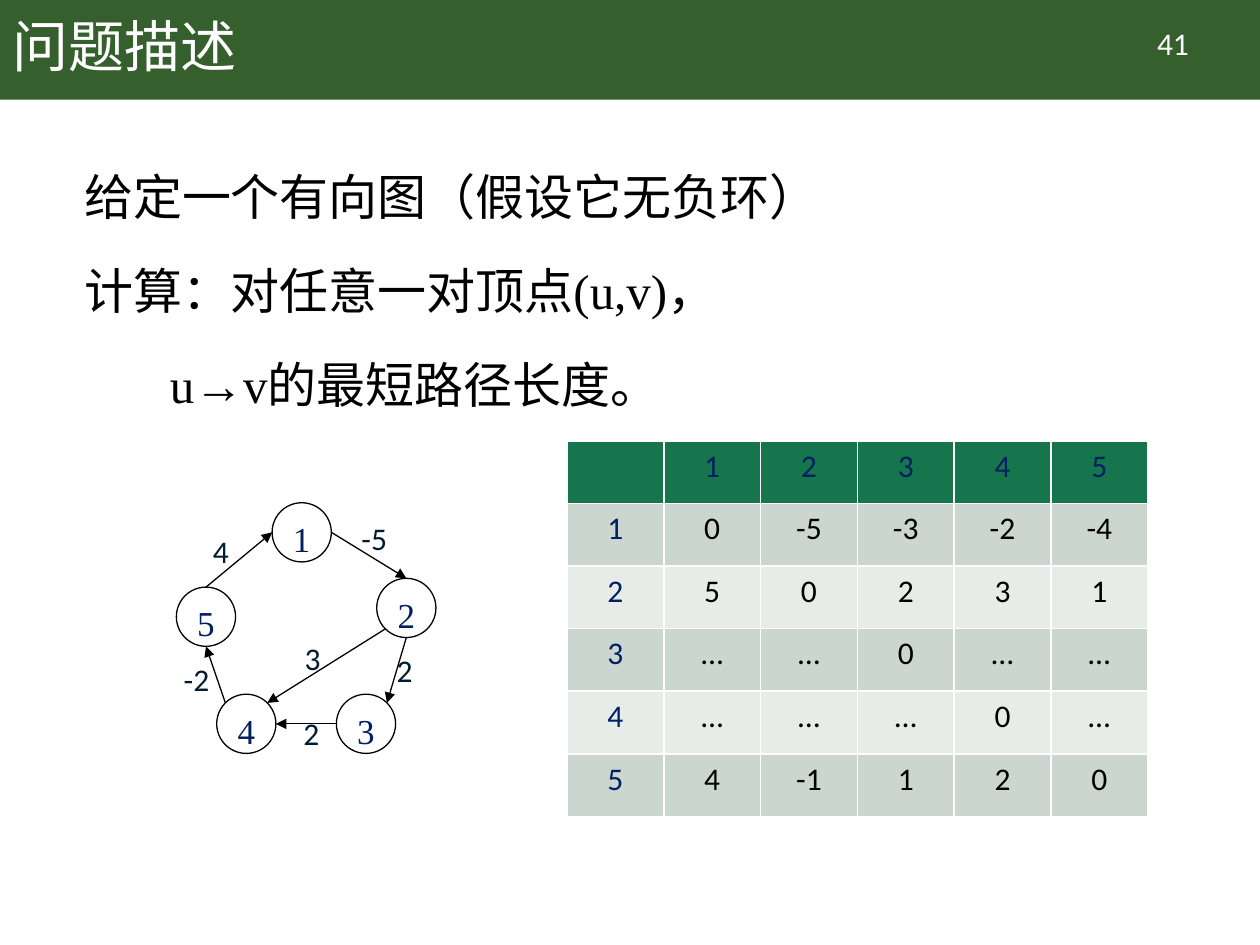
import math

from lxml import etree
from pptx import Presentation
from pptx.dml.color import RGBColor
from pptx.enum import shapes, text
from pptx.oxml import ns
from pptx.util import Inches, Pt

SANS, SERIF, CJK = "Calibri", "Times New Roman", "Noto Sans CJK SC"
WHITE, BLACK, NAVY, INK = "FFFFFF", "000000", "002060", "001C30"
BAND, HEADER, ROW_FILLS = "365F2E", "16754D", ("CCD6D0", "E8ECE9")

NODE_SIZE = 0.47
NODES = {"1": (2.16, 3.99), "5": (1.4, 4.66), "3": (2.67, 5.51),
         "4": (1.72, 5.51), "2": (2.99, 4.59)}
# Start node, angle on its rim, end node, angle on its rim (degrees, clockwise from right)
EDGES = [("5", 270, "1", 180), ("1", 0, "2", 270), ("2", 135, "4", 315),
         ("4", 225, "5", 90), ("2", 90, "3", 315), ("3", 180, "4", 0)]
WEIGHTS = [("2", 3.05, 5.12, 0.68), ("4", 1.59, 4.17, 0.68),
           ("3", 2.32, 5.02, 0.68), ("-5", 2.77, 4.07, 0.68),
           ("-2", 1.36, 5.19, 0.68), ("2", 2.31, 5.62, 0.46)]
DISTANCES = [["", "1", "2", "3", "4", "5"],
             ["1", "0", "-5", "-3", "-2", "-4"],
             ["2", "5", "0", "2", "3", "1"],
             ["3", "…", "…", "0", "…", "…"],
             ["4", "…", "…", "…", "0", "…"],
             ["5", "4", "-1", "1", "2", "0"]]


def rgb(value):
    return RGBColor.from_string(value)


def add_run(paragraph, words, size, font, color):
    run = paragraph.add_run()
    run.text = words
    run.font.size = Pt(size)
    run.font.name = font
    run.font.color.rgb = rgb(color)
    return run


def set_east_asian(run, font):
    etree.SubElement(run.font._element, ns.qn("a:ea"), typeface=font)


def add_text_frame(parent, left, top, width, height):
    frame = parent.add_textbox(*map(Inches, (left, top, width, height))).text_frame
    frame.word_wrap = True
    return frame


def add_banner(slide):
    band = slide.shapes.add_shape(shapes.MSO_SHAPE.RECTANGLE, 0, 0, Inches(10), Inches(0.79))
    band.shadow.inherit = False
    band.fill.solid()
    band.fill.fore_color.rgb = rgb(BAND)
    band.line.fill.background()

    title = add_text_frame(slide.shapes, 0, 0, 8.62, 0.79)
    title.vertical_anchor = text.MSO_ANCHOR.MIDDLE
    heading = title.paragraphs[0]
    heading.line_spacing = 0.9
    set_east_asian(add_run(heading, "问题描述", 32, CJK, WHITE), CJK)

    page = add_text_frame(slide.shapes, 8.71, 0.14, 1.2, 0.4).paragraphs[0]
    page.alignment = text.PP_ALIGN.CENTER
    add_run(page, "41", 18, SANS, WHITE)


def add_problem(slide):
    frame = add_text_frame(slide.shapes, 0.57, 1.13, 8.86, 5.52)
    lines = [("给定一个有向图（假设它无负环）", 0),
             ("计算：对任意一对顶点(u,v)，", 0),
             ("u→v的最短路径长度。", 0.68)]
    for index, (words, indent) in enumerate(lines):
        paragraph = frame.add_paragraph() if index else frame.paragraphs[0]
        paragraph.line_spacing = 1.3
        if index:
            paragraph.space_before = Pt(10)
        if indent:
            paragraph._p.get_or_add_pPr().set("marL", str(Inches(indent)))
        add_run(paragraph, words, 28, SERIF, BLACK)


def add_node(graph, label, left, top):
    node = graph.add_shape(shapes.MSO_SHAPE.OVAL, Inches(left), Inches(top),
                           Inches(NODE_SIZE), Inches(NODE_SIZE))
    node.shadow.inherit = False
    node.fill.background()
    node.line.color.rgb = rgb(BLACK)
    node.line.width = Pt(0.75)
    frame = node.text_frame
    frame.word_wrap = False
    frame.vertical_anchor = text.MSO_ANCHOR.TOP
    frame.paragraphs[0].alignment = text.PP_ALIGN.CENTER
    add_run(frame.paragraphs[0], label, 20, SERIF, NAVY)


def rim_point(label, degrees):
    left, top = NODES[label]
    radius, angle = NODE_SIZE / 2, math.radians(degrees)
    return (Inches(left + radius + radius * math.cos(angle)),
            Inches(top + radius + radius * math.sin(angle)))


def add_edge(graph, start, start_angle, end, end_angle):
    edge = graph.add_connector(shapes.MSO_CONNECTOR.STRAIGHT,
                               *rim_point(start, start_angle), *rim_point(end, end_angle))
    edge.line.color.rgb = rgb(BLACK)
    edge.line.width = Pt(0.75)
    etree.SubElement(edge.line._get_or_add_ln(), ns.qn("a:tailEnd"), type="triangle")
    etree.SubElement(edge._element.spPr, ns.qn("a:effectLst"))


def add_graph(slide):
    graph = slide.shapes.add_group_shape().shapes
    for label, (left, top) in NODES.items():
        add_node(graph, label, left, top)
    for edge in EDGES:
        add_edge(graph, *edge)
    for weight, left, top, width in WEIGHTS:
        frame = add_text_frame(graph, left, top, width, 0.4)
        add_run(frame.paragraphs[0], weight, 18, SANS, INK)


def set_borders(cell):
    properties = cell._tc.get_or_add_tcPr()
    for position, side in enumerate(("lnL", "lnR", "lnT", "lnB")):
        border = etree.Element(ns.qn("a:" + side), w=str(Pt(1)))
        fill = etree.SubElement(border, ns.qn("a:solidFill"))
        etree.SubElement(fill, ns.qn("a:srgbClr"), val=WHITE)
        properties.insert(position, border)


def add_distances(slide):
    count = len(DISTANCES)
    table = slide.shapes.add_table(count, count, Inches(4.5), Inches(3.5),
                                   Inches(4.61), Inches(2.98)).table
    for r, values in enumerate(DISTANCES):
        for c, value in enumerate(values):
            cell = table.cell(r, c)
            cell.fill.solid()
            cell.fill.fore_color.rgb = rgb(ROW_FILLS[(r - 1) % 2] if r else HEADER)
            set_borders(cell)
            if value:
                paragraph = cell.text_frame.paragraphs[0]
                paragraph.alignment = text.PP_ALIGN.CENTER
                run = add_run(paragraph, value, 18, SANS, BLACK if r and c else NAVY)
                run.font.bold = False


def main():
    deck = Presentation()
    deck.slide_width, deck.slide_height = Inches(10), Inches(7.5)
    slide = deck.slides.add_slide(deck.slide_layouts[6])
    # Title band and page number
    add_banner(slide)
    # Problem statement
    add_problem(slide)
    # Directed graph with edge weights
    add_graph(slide)
    # Shortest path lengths for every pair
    add_distances(slide)
    deck.save("out.pptx")


if __name__ == "__main__":
    main()
